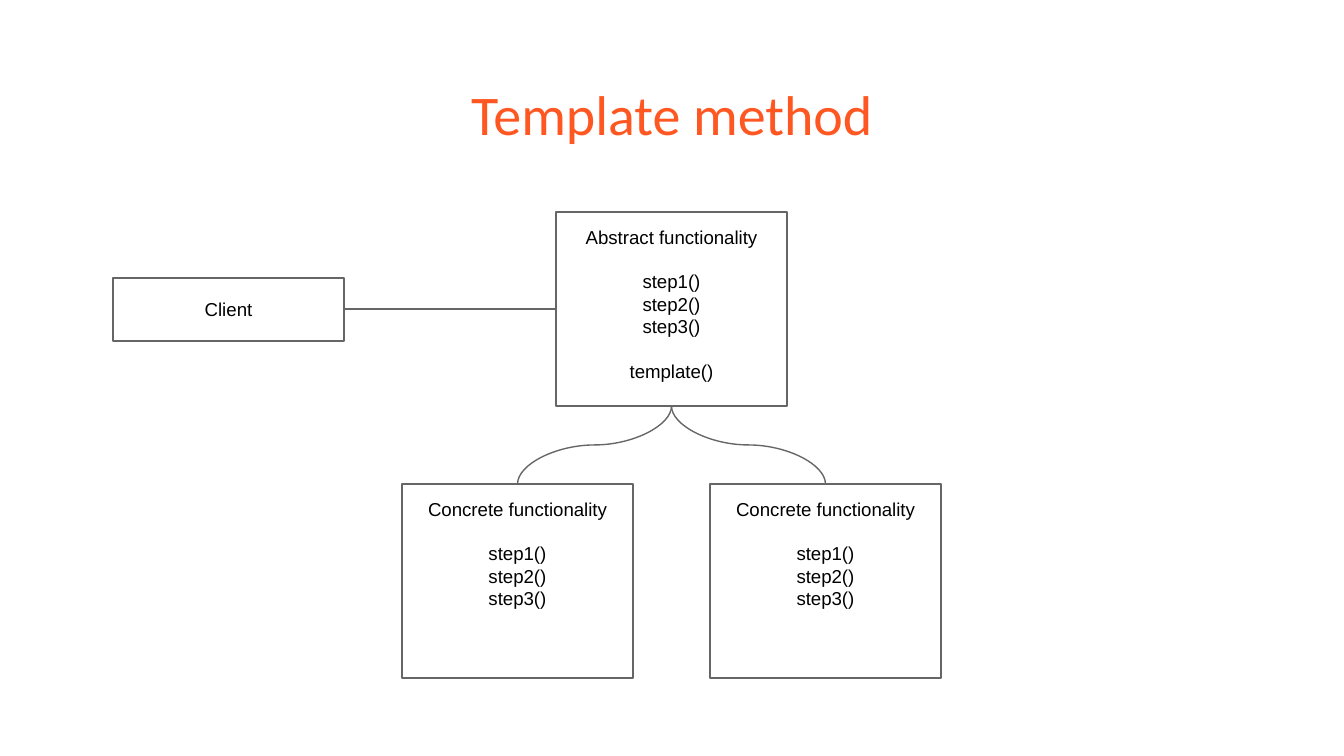
import pptx
import pptx.dml.color
import pptx.enum.shapes
import pptx.enum.text
import pptx.oxml.ns
import pptx.util
from lxml import etree

EMU_PER_PX = 914400 / 134.4
BOX_WIDTH, BOX_HEIGHT, CLIENT_HEIGHT = 231, 194, 63
ABSTRACT_LEFT, ABSTRACT_TOP = 556, 212
CONCRETE_TOP = 484
CONCRETE_OFFSET = 154
CLIENT_LEFT, CLIENT_TOP = 113, 278
STEPS = ["step1()", "step2()", "step3()"]
TITLE_FORMAT = {"name": "Calibri", "size": pptx.util.Pt(30)}
BODY_FORMAT = {"name": "Arial", "size": pptx.util.Pt(10)}
SECTION_GAP = pptx.util.Pt(12)
CONNECTOR = pptx.enum.shapes.MSO_CONNECTOR
ANCHOR = pptx.enum.text.MSO_ANCHOR


def px(length):
    return pptx.util.Emu(round(length * EMU_PER_PX))


def color(value):
    return pptx.dml.color.RGBColor.from_string(value)


def set_values(target, values):
    for name, value in values.items():
        setattr(target, name, value)


def write_sections(shape, sections, font_format, font_color, anchor):
    frame = shape.text_frame
    margins = {f"margin_{side}": pptx.util.Inches(0.1) for side in ("left", "top", "right", "bottom")}
    set_values(frame, {"word_wrap": True, "vertical_anchor": anchor, **margins})
    lines = [
        (line, section_index > 0 and line_index == 0)
        for section_index, section in enumerate(sections)
        for line_index, line in enumerate(section)
    ]
    for index, (line, starts_section) in enumerate(lines):
        para = frame.paragraphs[0] if index == 0 else frame.add_paragraph()
        para.alignment = pptx.enum.text.PP_ALIGN.CENTER
        para.space_before = SECTION_GAP if starts_section else pptx.util.Pt(0)
        span = para.add_run()
        span.text = line
        set_values(span.font, font_format)
        span.font.color.rgb = color(font_color)


def style_line(shape):
    shape.line.color.rgb = color("666666")
    shape.line.width = pptx.util.Pt(0.75)


def add_title(page, text):
    box = page.shapes.add_textbox(px(46), px(66), px(1252), px(85))
    write_sections(box, [[text]], TITLE_FORMAT, "FF5722", ANCHOR.TOP)


def add_box(page, left, top, height, sections, anchor=ANCHOR.TOP):
    box = page.shapes.add_shape(
        pptx.enum.shapes.MSO_SHAPE.RECTANGLE, px(left), px(top), px(BOX_WIDTH), px(height)
    )
    box.shadow.inherit = False
    box.fill.solid()
    box.fill.fore_color.rgb = color("FFFFFF")
    style_line(box)
    write_sections(box, sections, BODY_FORMAT, "000000", anchor)


def add_link(page, kind, start_x, start_y, end_x, end_y):
    link = page.shapes.add_connector(kind, px(start_x), px(start_y), px(end_x), px(end_y))
    style_line(link)
    etree.SubElement(link._element.spPr, pptx.oxml.ns.qn("a:effectLst"))
    return link


def add_downward_curve(page, start_x, start_y, end_x, end_y):
    center_x, center_y = (start_x + end_x) / 2, (start_y + end_y) / 2
    half_width, half_height = (end_y - start_y) / 2, abs(end_x - start_x) / 2
    link = add_link(
        page,
        CONNECTOR.CURVE,
        center_x - half_width,
        center_y - half_height,
        center_x + half_width,
        center_y + half_height,
    )
    turn = {"rot": "5400000"} if end_x < start_x else {"rot": "16200000", "flipH": "1"}
    for name, value in turn.items():
        link._element.spPr.xfrm.set(name, value)


def main():
    deck = pptx.Presentation()
    deck.slide_width, deck.slide_height = px(1344), px(756)
    page = deck.slides.add_slide(deck.slide_layouts[6])
    add_title(page, "Template method")
    add_box(
        page,
        ABSTRACT_LEFT,
        ABSTRACT_TOP,
        BOX_HEIGHT,
        [["Abstract functionality"], STEPS, ["template()"]],
    )
    offsets = (-CONCRETE_OFFSET, CONCRETE_OFFSET)
    for offset in offsets:
        add_box(
            page,
            ABSTRACT_LEFT + offset,
            CONCRETE_TOP,
            BOX_HEIGHT,
            [["Concrete functionality"], STEPS],
        )
    add_box(page, CLIENT_LEFT, CLIENT_TOP, CLIENT_HEIGHT, [["Client"]], ANCHOR.MIDDLE)
    middle_y = ABSTRACT_TOP + BOX_HEIGHT // 2
    add_link(page, CONNECTOR.STRAIGHT, CLIENT_LEFT + BOX_WIDTH, middle_y, ABSTRACT_LEFT, middle_y)
    center_x = ABSTRACT_LEFT + BOX_WIDTH / 2
    for offset in offsets:
        add_downward_curve(
            page, center_x, ABSTRACT_TOP + BOX_HEIGHT, center_x + offset, CONCRETE_TOP
        )
    deck.save("out.pptx")


if __name__ == "__main__":
    main()
